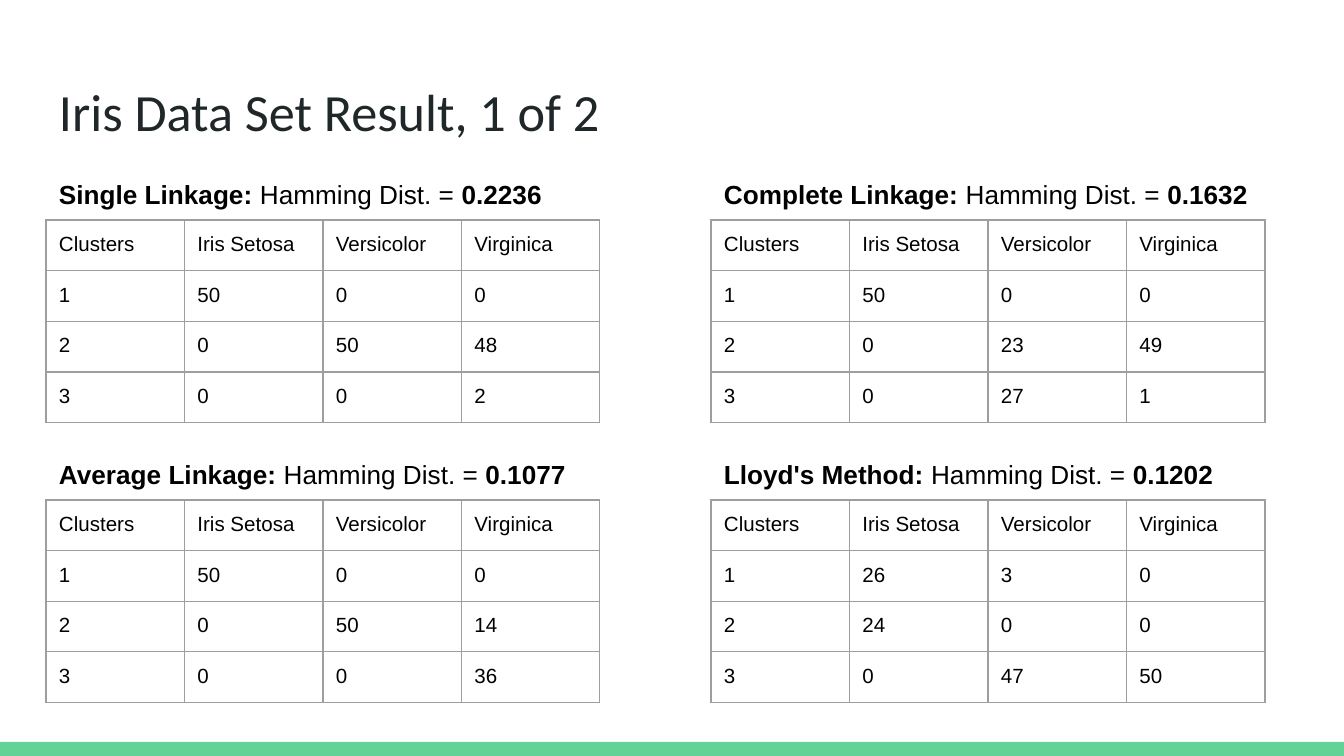
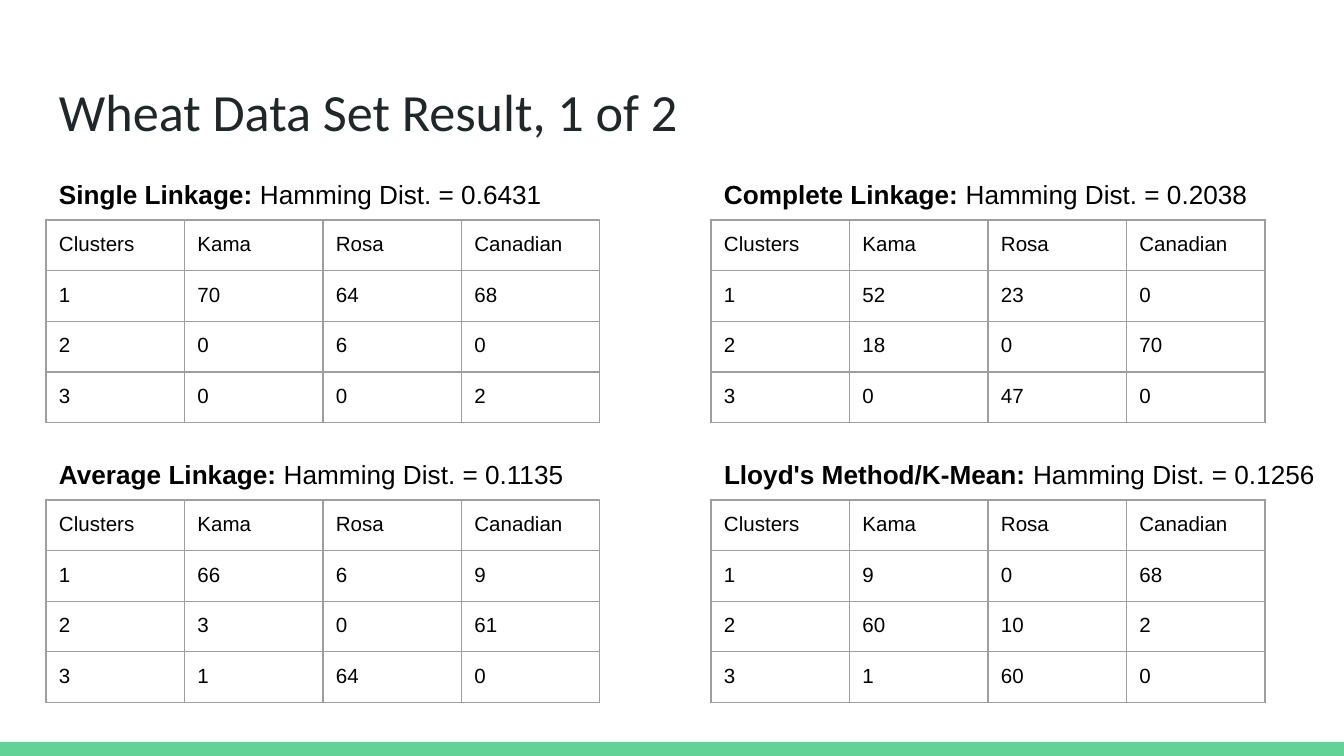
from lxml.etree import SubElement
from pptx import Presentation
from pptx.dml.color import RGBColor
from pptx.enum.shapes import MSO_SHAPE
from pptx.enum.text import MSO_ANCHOR
from pptx.oxml.ns import qn
from pptx.util import Emu, Pt

EMU_PER_PX = 914400 / 134.4
PAGE_WIDTH, PAGE_HEIGHT = 1344, 756
BAND_HEIGHT = 14
LEFT, TABLE_TOP = 46, 220
COLUMN_STEP, ROW_STEP = 665, 280
TABLE_WIDTH, TABLE_HEIGHT = 554, 199
LABEL_RISE, LABEL_HEIGHT = 55, 40
WIDE_LABEL = 633
INSET = 13

GREEN, INK, BLACK, GRAY = "63D297", "202729", "000000", "9E9E9E"
TITLE_FONT, BODY_FONT = "Calibri", "Arial"

IRIS = ["Iris Setosa", "Versicolor", "Virginica"]
IRIS_RESULTS = [
    ("Single Linkage: ", "0.2236", [(50, 0, 0), (0, 50, 48), (0, 0, 2)]),
    ("Complete Linkage: ", "0.1632", [(50, 0, 0), (0, 23, 49), (0, 27, 1)]),
    ("Average Linkage: ", "0.1077", [(50, 0, 0), (0, 50, 14), (0, 0, 36)]),
    ("Lloyd's Method: ", "0.1202", [(26, 3, 0), (24, 0, 0), (0, 47, 50)]),
]
WHEAT = ["Kama", "Rosa", "Canadian"]
WHEAT_RESULTS = [
    ("Single Linkage: ", "0.6431", [(70, 64, 68), (0, 6, 0), (0, 0, 2)]),
    ("Complete Linkage: ", "0.2038", [(52, 23, 0), (18, 0, 70), (0, 47, 0)]),
    ("Average Linkage: ", "0.1135", [(66, 6, 9), (3, 0, 61), (1, 64, 0)]),
    ("Lloyd's Method/K-Mean: ", "0.1256", [(9, 0, 68), (60, 10, 2), (1, 60, 0)]),
]


def px(length):
    return Emu(round(length * EMU_PER_PX))


def color(value):
    return RGBColor.from_string(value)


def add_span(para, text, size, font=BODY_FONT, ink=BLACK, bold=False):
    span = para.add_run()
    span.text = text
    span.font.size = Pt(size)
    span.font.name = font
    span.font.bold = bold
    span.font.color.rgb = color(ink)


def set_insets(holder):
    holder.margin_left = holder.margin_right = px(INSET)
    holder.margin_top = holder.margin_bottom = px(INSET)


def add_text_box(page, left, top, width, height):
    box = page.shapes.add_textbox(px(left), px(top), px(width), px(height))
    frame = box.text_frame
    frame.word_wrap = True
    frame.vertical_anchor = MSO_ANCHOR.TOP
    set_insets(frame)
    return frame.paragraphs[0]


def add_band(page):
    band = page.shapes.add_shape(
        MSO_SHAPE.RECTANGLE, 0, px(PAGE_HEIGHT - BAND_HEIGHT),
        px(PAGE_WIDTH), px(BAND_HEIGHT))
    band.shadow.inherit = False
    band.fill.solid()
    band.fill.fore_color.rgb = color(GREEN)
    band.line.fill.background()


def add_title(page, text):
    para = add_text_box(page, LEFT, 66, PAGE_WIDTH - 2 * LEFT, 85)
    add_span(para, text, 28, TITLE_FONT, INK)


def add_label(page, left, top, method, distance, bold_distance, width):
    para = add_text_box(page, left, top, width, LABEL_HEIGHT)
    add_span(para, method, 14, bold=True)
    add_span(para, "Hamming Dist. = ", 14)
    add_span(para, distance, 14, bold=bold_distance)


def set_borders(cell):
    properties = cell._tc.get_or_add_tcPr()
    for side in ("a:lnL", "a:lnR", "a:lnT", "a:lnB"):
        line = SubElement(properties, qn(side), w=str(Pt(0.75)))
        fill = SubElement(line, qn("a:solidFill"))
        SubElement(fill, qn("a:srgbClr"), val=GRAY)


def add_cluster_table(page, left, top, species, counts):
    rows = [["Clusters", *species]]
    rows += [[number, *row] for number, row in enumerate(counts, 1)]
    table = page.shapes.add_table(
        len(rows), len(rows[0]), px(left), px(top),
        px(TABLE_WIDTH), px(TABLE_HEIGHT)).table
    table.first_row = False
    table.horz_banding = False
    for row_index, row in enumerate(rows):
        for column_index, value in enumerate(row):
            cell = table.cell(row_index, column_index)
            set_insets(cell)
            set_borders(cell)
            cell.fill.background()
            add_span(cell.text_frame.paragraphs[0], str(value), 11)


def add_result_page(deck, title, species, results, bold_distance=False,
                    last_label_width=TABLE_WIDTH):
    page = deck.slides.add_slide(deck.slide_layouts[6])
    add_band(page)
    add_title(page, title)
    for index, (method, distance, counts) in enumerate(results):
        row, column = divmod(index, 2)
        left = LEFT + column * COLUMN_STEP
        top = TABLE_TOP + row * ROW_STEP
        is_last = index == len(results) - 1
        width = last_label_width if is_last else TABLE_WIDTH
        add_cluster_table(page, left, top, species, counts)
        add_label(page, left, top - LABEL_RISE, method, distance,
                  bold_distance, width)


def main():
    deck = Presentation()
    deck.slide_width, deck.slide_height = px(PAGE_WIDTH), px(PAGE_HEIGHT)
    add_result_page(deck, "Iris Data Set Result, 1 of 2", IRIS, IRIS_RESULTS,
                    bold_distance=True)
    add_result_page(deck, "Wheat Data Set Result, 1 of 2", WHEAT,
                    WHEAT_RESULTS, last_label_width=WIDE_LABEL)
    deck.save("out.pptx")


if __name__ == "__main__":
    main()
